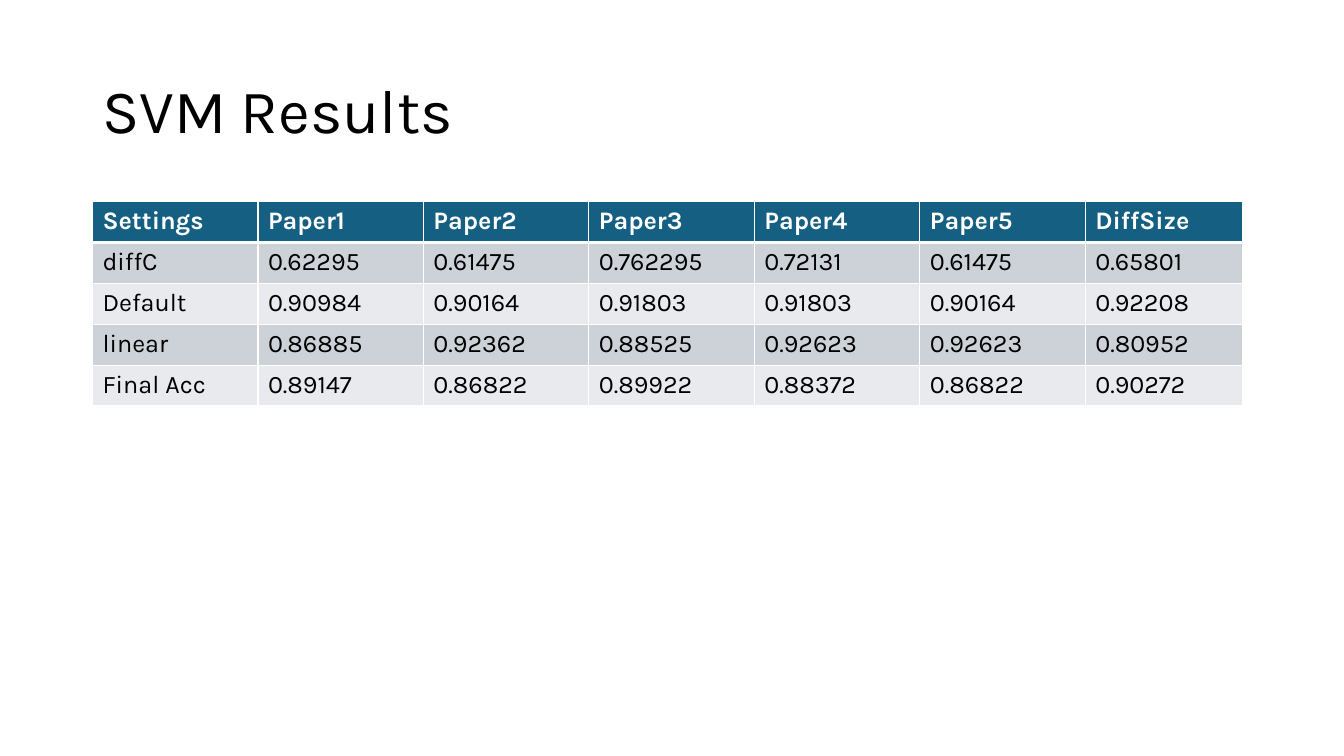
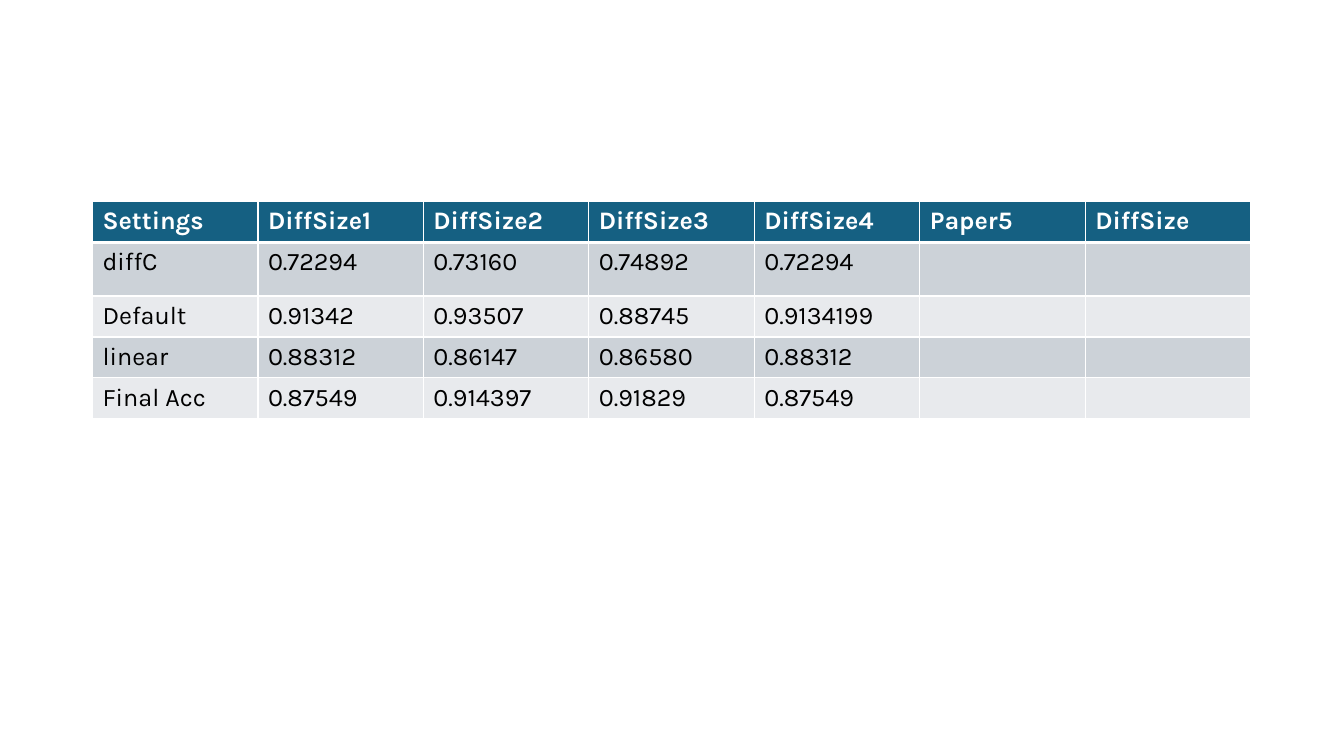
from dataclasses import dataclass

import pptx
import pptx.dml.color
import pptx.enum.text
import pptx.oxml
import pptx.oxml.ns
import pptx.util

Cm = pptx.util.Cm
Pt = pptx.util.Pt


# Theme
@dataclass(frozen=True)
class Theme:
    font: str = "Karla"
    title_size: int = 44
    table_size: int = 18
    text: str = "000000"
    background: str = "FFFFFF"
    header_text: str = "FFFFFF"
    header_fill: str = "156082"
    bands: tuple[str, str] = ("CCD2D8", "E8EAED")
    border: str = "FFFFFF"
    thin: float = 1
    thick: float = 3


THEME = Theme()
LEFT = 2.33
TABLE_TOP = 5.08
COL_WIDTH = 4.17
ROW_HEIGHT = 1.03


# Slide content
@dataclass(frozen=True)
class Results:
    rows: list[list[str]]
    title: str = ""
    last_col: float = COL_WIDTH
    first_row: float = ROW_HEIGHT


SLIDES = [
    Results(
        title="SVM Results",
        last_col=3.96,
        rows=[
            ["Settings", "Paper1", "Paper2", "Paper3", "Paper4", "Paper5", "DiffSize"],
            ["diffC", "0.62295", "0.61475", "0.762295", "0.72131", "0.61475", "0.65801"],
            ["Default", "0.90984", "0.90164", "0.91803", "0.91803", "0.90164", "0.92208"],
            ["linear", "0.86885", "0.92362", "0.88525", "0.92623", "0.92623", "0.80952"],
            ["Final Acc", "0.89147", "0.86822", "0.89922", "0.88372", "0.86822", "0.90272"],
        ],
    ),
    Results(
        first_row=1.35,
        rows=[
            ["Settings", "DiffSize1", "DiffSize2", "DiffSize3", "DiffSize4", "Paper5", "DiffSize"],
            ["diffC", "0.72294", "0.73160", "0.74892", "0.72294"],
            ["Default", "0.91342", "0.93507", "0.88745", "0.9134199"],
            ["linear", "0.88312", "0.86147", "0.86580", "0.88312"],
            ["Final Acc", "0.87549", "0.914397", "0.91829", "0.87549"],
        ],
    ),
]


# Text and border helpers
def rgb(color: str) -> pptx.dml.color.RGBColor:
    return pptx.dml.color.RGBColor.from_string(color)


def add_run(p, text: str, size: int, color: str, bold: bool = False) -> None:
    r = p.add_run()
    r.text = text
    r.font.name = THEME.font
    r.font.size = Pt(size)
    r.font.bold = bold
    r.font.color.rgb = rgb(color)


def set_borders(cell, top: float, bottom: float) -> None:
    tc_pr = cell._tc.get_or_add_tcPr()
    widths = {"lnL": THEME.thin, "lnR": THEME.thin, "lnT": top, "lnB": bottom}
    for tag, width in widths.items():
        tc_pr.append(pptx.oxml.parse_xml(
            f'<a:{tag} {pptx.oxml.ns.nsdecls("a")} w="{Pt(width)}">'
            f'<a:solidFill><a:srgbClr val="{THEME.border}"/></a:solidFill></a:{tag}>'
        ))


# Slide parts
def add_title(s, text: str) -> None:
    tf = s.shapes.add_textbox(Cm(LEFT), Cm(1.01), Cm(29.21), Cm(3.68)).text_frame
    tf.word_wrap = True
    tf.vertical_anchor = pptx.enum.text.MSO_ANCHOR.MIDDLE
    p = tf.paragraphs[0]
    p.line_spacing = 0.9
    add_run(p, text, THEME.title_size, THEME.text)


def add_results_table(s, results: Results) -> None:
    n_rows, n_cols = len(results.rows), len(results.rows[0])
    widths = [COL_WIDTH] * (n_cols - 1) + [results.last_col]
    heights = [ROW_HEIGHT, results.first_row] + [ROW_HEIGHT] * (n_rows - 2)
    table = s.shapes.add_table(
        n_rows, n_cols, Cm(LEFT), Cm(TABLE_TOP), Cm(sum(widths)), Cm(sum(heights))
    ).table
    for column, width in zip(table.columns, widths):
        column.width = Cm(width)
    for i, (row, height) in enumerate(zip(table.rows, heights)):
        row.height = Cm(height)
        header = i == 0
        fill = THEME.header_fill if header else THEME.bands[(i - 1) % 2]
        color = THEME.header_text if header else THEME.text
        for cell in row.cells:
            set_borders(
                cell,
                top=THEME.thick if i == 1 else THEME.thin,
                bottom=THEME.thick if header else THEME.thin,
            )
            cell.fill.solid()
            cell.fill.fore_color.rgb = rgb(fill)
        for cell, value in zip(row.cells, results.rows[i]):
            add_run(cell.text_frame.paragraphs[0], value, THEME.table_size, color, header)


def add_results_slide(prs, results: Results) -> None:
    s = prs.slides.add_slide(prs.slide_layouts[6])
    s.background.fill.solid()
    s.background.fill.fore_color.rgb = rgb(THEME.background)
    if results.title:
        add_title(s, results.title)
    add_results_table(s, results)


def main() -> None:
    prs = pptx.Presentation()
    prs.slide_width, prs.slide_height = Cm(33.87), Cm(19.05)
    for results in SLIDES:
        add_results_slide(prs, results)
    prs.save("out.pptx")


if __name__ == "__main__":
    main()
